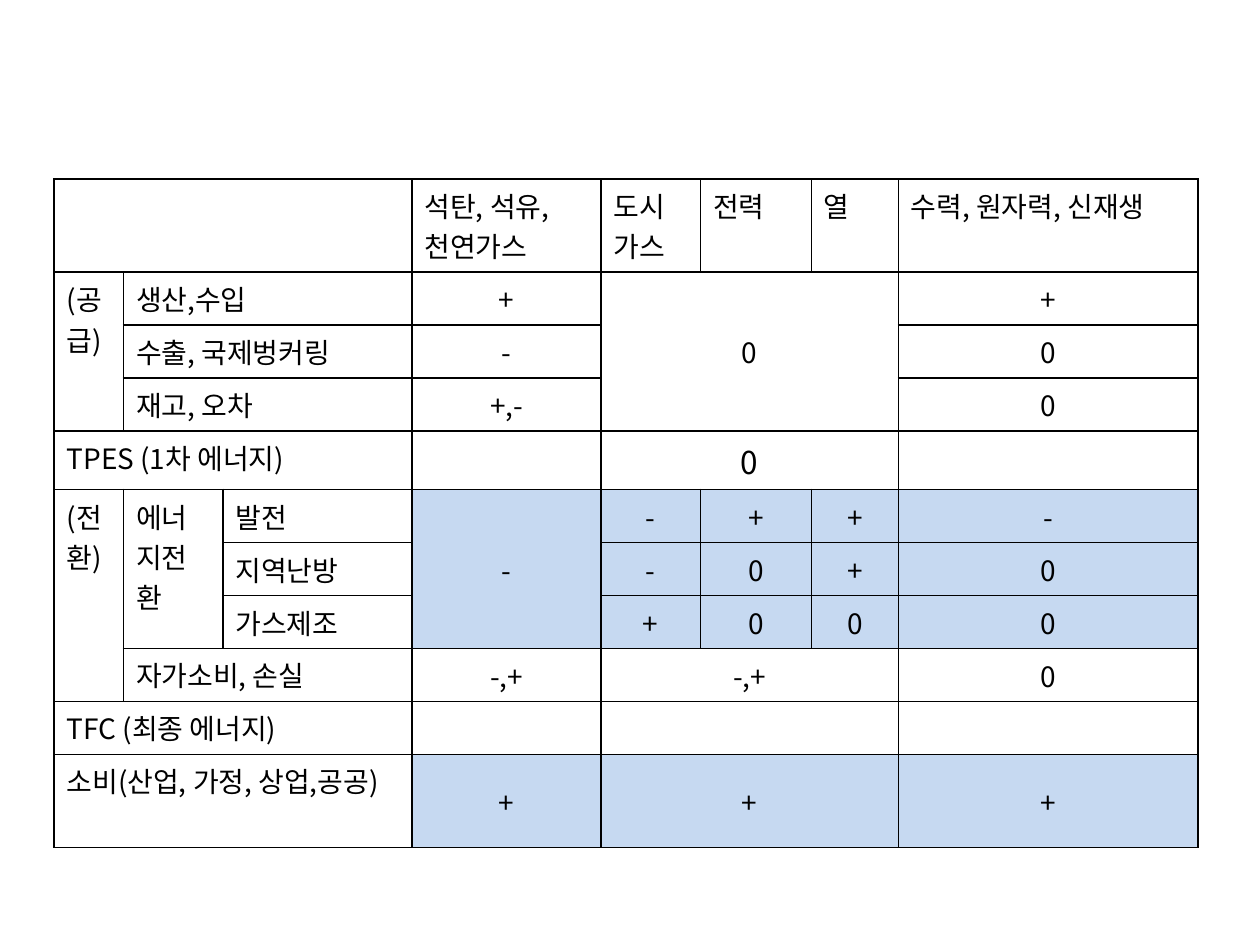
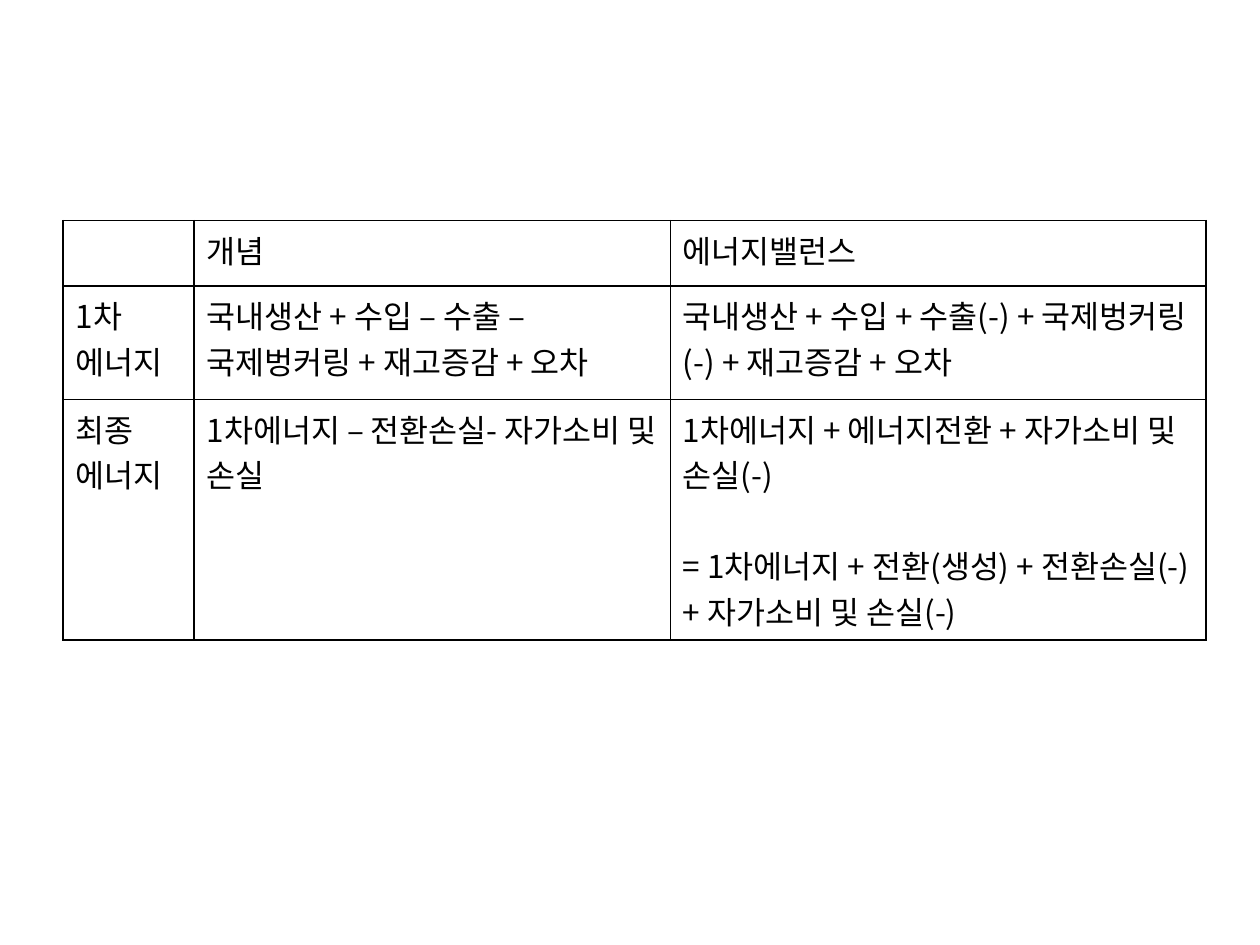
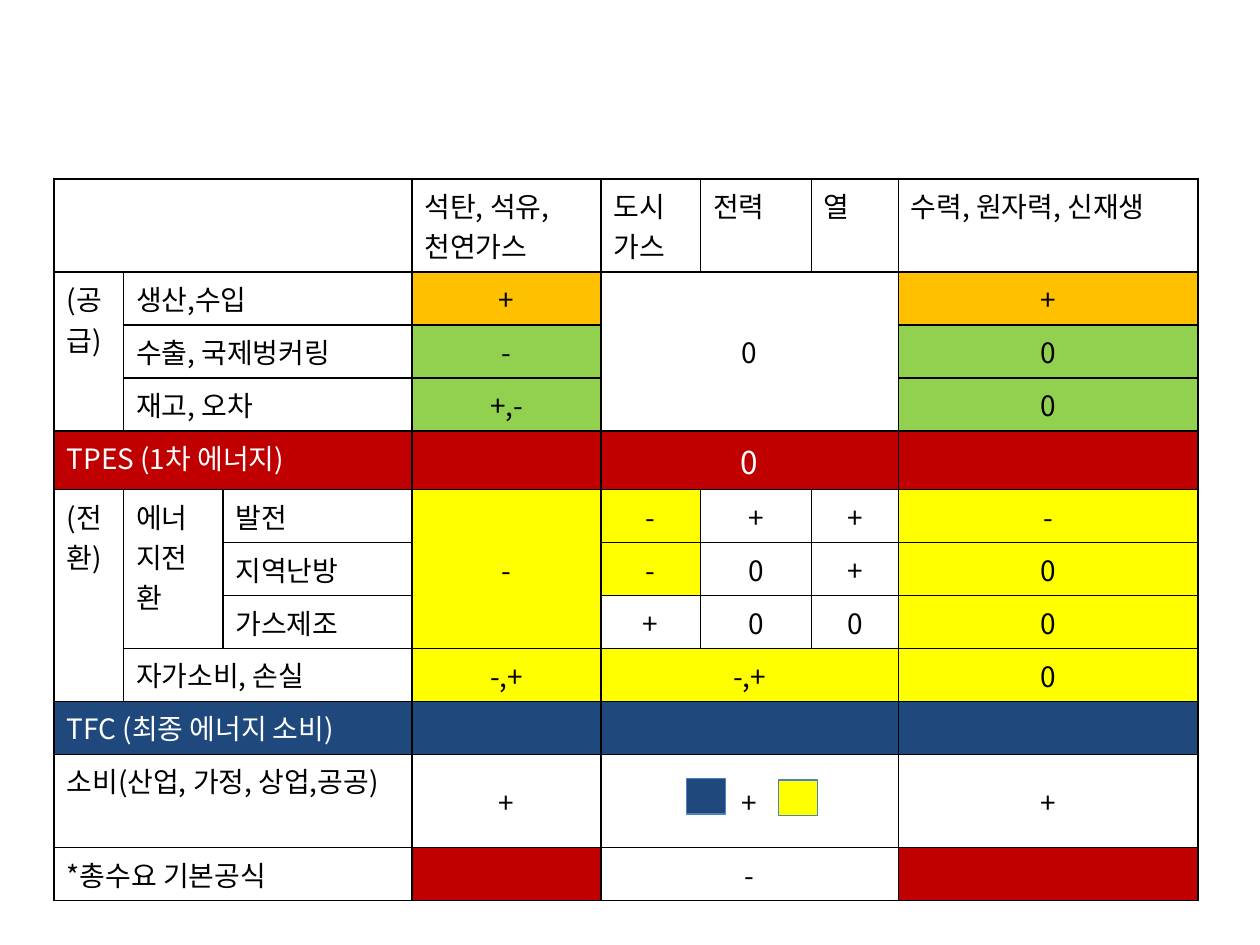
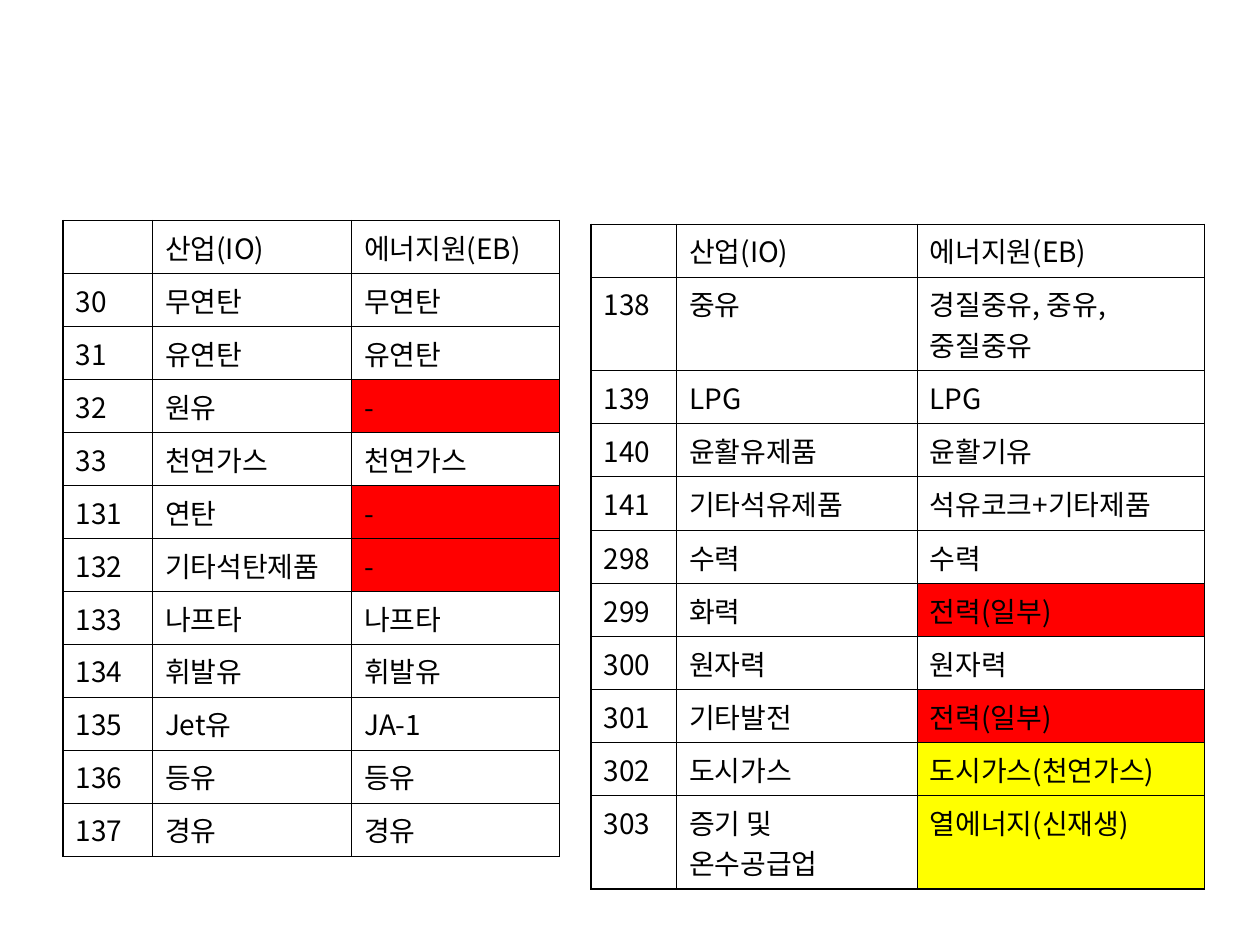
"""Build four slides of energy balance tables."""
import dataclasses

import lxml.etree
import pptx
import pptx.dml.color
import pptx.enum.shapes
import pptx.enum.text
import pptx.oxml.ns
import pptx.util

Inches = pptx.util.Inches
Pt = pptx.util.Pt
RGBColor = pptx.dml.color.RGBColor
qn = pptx.oxml.ns.qn

LEFT, UP = "<", "^"


@dataclasses.dataclass(frozen=True)
class Theme:
    font: str = "Noto Sans CJK KR"
    text: str = "000000"
    light_text: str = "FFFFFF"
    border: str = "000000"
    outline: str = "4F81BD"
    size: int = 16
    large: int = 18
    paragraph_gap: int = 26
    border_width: float = 1
    outline_width: float = 0.75
    fills: dict = dataclasses.field(default_factory=lambda: {
        "b": "C6D9F1", "o": "FFC000", "g": "92D050", "d": "C00000",
        "y": "FFFF00", "n": "1F497D", "r": "FF0000"})
    dark: str = "dn"


def apply(target, values):
    for name, value in values.items():
        setattr(target, name, value)


def merge_end(rows, row, column):
    last_row, last_column = row, column
    while last_column + 1 < len(rows[row]) and rows[row][last_column + 1] == LEFT:
        last_column += 1
    while last_row + 1 < len(rows) and rows[last_row + 1][column] == UP:
        last_row += 1
    return last_row, last_column


class Slides:
    def __init__(self, theme):
        self.theme = theme
        self.deck = pptx.Presentation()
        apply(self.deck, {"slide_width": Inches(10), "slide_height": Inches(7.5)})
        self.page = None

    def add_page(self):
        self.page = self.deck.slides.add_slide(self.deck.slide_layouts[6])

    def table(self, place, widths, heights, rows, fills=None, size=None,
              centred_from=None, large=()):
        left, top = place
        frame = self.page.shapes.add_table(
            len(rows), len(widths), Inches(left), Inches(top),
            Inches(sum(widths)), Inches(sum(heights)))
        grid = frame.table
        apply(grid, {"first_row": False, "horz_banding": False})
        for column, width in zip(grid.columns, widths):
            column.width = Inches(width)
        for line, height in zip(grid.rows, heights):
            line.height = Inches(height)
        for row, texts in enumerate(rows):
            for column, text in enumerate(texts):
                cell = grid.cell(row, column)
                code = fills[row][column] if fills else "."
                self.cell_style(cell, code)
                merged = text in (LEFT, UP)
                centred = centred_from is not None and row > 0 and column >= centred_from
                points = self.theme.large if (row, column) in large else size or self.theme.size
                self.cell_text(cell, "" if merged else text, points, centred,
                               code in self.theme.dark)
                end = merge_end(rows, row, column)
                if not merged and end != (row, column):
                    cell.merge(grid.cell(*end))

    def cell_style(self, cell, code):
        if code in self.theme.fills:
            cell.fill.solid()
            cell.fill.fore_color.rgb = RGBColor.from_string(self.theme.fills[code])
        else:
            cell.fill.background()
        properties = cell._tc.get_or_add_tcPr()
        for index, side in enumerate(("lnL", "lnR", "lnT", "lnB")):
            line = lxml.etree.Element(qn(f"a:{side}"), w=str(Pt(self.theme.border_width)))
            solid = lxml.etree.SubElement(line, qn("a:solidFill"))
            lxml.etree.SubElement(solid, qn("a:srgbClr"), val=self.theme.border)
            properties.insert(index, line)

    def cell_text(self, cell, text, points, centred, light):
        if centred:
            cell.vertical_anchor = pptx.enum.text.MSO_ANCHOR.MIDDLE
        frame = cell.text_frame
        for index, content in enumerate(text.split("\n")):
            para = frame.add_paragraph() if index else frame.paragraphs[0]
            if centred:
                para.alignment = pptx.enum.text.PP_ALIGN.CENTER
            if content.startswith("="):
                para.space_before = Pt(self.theme.paragraph_gap)
            if not content:
                lxml.etree.SubElement(para._p, qn("a:endParaRPr"), sz=str(points * 100))
                continue
            span = para.add_run()
            span.text = content
            apply(span.font, {"name": self.theme.font, "size": Pt(points)})
            colour = self.theme.light_text if light else self.theme.text
            span.font.color.rgb = RGBColor.from_string(colour)
            lxml.etree.SubElement(span.font._rPr, qn("a:ea"), typeface=self.theme.font)

    def swatch(self, left, top, code):
        box = self.page.shapes.add_shape(
            pptx.enum.shapes.MSO_SHAPE.RECTANGLE,
            Inches(left), Inches(top), Inches(0.31), Inches(0.28))
        box.shadow.inherit = False
        box.fill.solid()
        box.fill.fore_color.rgb = RGBColor.from_string(self.theme.fills[code])
        box.line.color.rgb = RGBColor.from_string(self.theme.outline)
        box.line.width = Pt(self.theme.outline_width)

    def balance(self, rows, fills):
        widths = [0.55, 0.79, 1.5, 1.5, 0.79, 0.88, 0.69, 2.38]
        self.table((0.43, 1.42), widths, [0.41] * len(rows), rows, fills,
                   centred_from=3, large={(4, 4)})


def balance_rows(final_label):
    return [
        ["", LEFT, LEFT, "석탄, 석유, 천연가스", "도시가스", "전력", "열", "수력, 원자력, 신재생"],
        ["(공급)", "생산,수입", LEFT, "+", "0", LEFT, LEFT, "+"],
        [UP, "수출, 국제벙커링", LEFT, "-", UP, LEFT, LEFT, "0"],
        [UP, "재고, 오차", LEFT, "+,-", UP, LEFT, LEFT, "0"],
        ["TPES (1차 에너지)", LEFT, LEFT, "", "0", LEFT, LEFT, ""],
        ["(전환)", "에너지전환", "발전", "-", "-", "+", "+", "-"],
        [UP, UP, "지역난방", UP, "-", "0", "+", "0"],
        [UP, UP, "가스제조", UP, "+", "0", "0", "0"],
        [UP, "자가소비, 손실", LEFT, "-,+", "-,+", LEFT, LEFT, "0"],
        [final_label, LEFT, LEFT, "", "", LEFT, LEFT, ""],
        ["소비(산업, 가정, 상업,공공)", LEFT, LEFT, "+", "+", LEFT, LEFT, "+"],
    ]


CONVERSION_FILLS = ["........"] * 5 + ["...bbbbb"] * 3 + ["........"] * 2 + ["...bbbbb"]

FORMULA_FILLS = [
    "........", "...o...o", "...g...g", "...g...g", "dddddddd", "...yy..y",
    "...yy..y", "...y...y", "...yyyyy", "nnnnnnnn", "........", "...d...d"]

DEMAND_ROW = ["*총수요 기본공식", LEFT, LEFT, "", "-", LEFT, LEFT, ""]

DEFINITIONS = [
    ["", "개념", "에너지밸런스"],
    ["1차\n에너지",
     "국내생산 + 수입 – 수출 – 국제벙커링 + 재고증감 + 오차",
     "국내생산 + 수입 + 수출(-) + 국제벙커링 (-) + 재고증감 + 오차"],
    ["최종\n에너지",
     "1차에너지 – 전환손실- 자가소비 및 손실",
     "1차에너지 + 에너지전환 + 자가소비 및 손실(-)\n"
     "= 1차에너지 + 전환(생성) + 전환손실(-) + 자가소비 및 손실(-)"],
]

MAPPING_HEADER = ["", "산업(IO)", "에너지원(EB)"]

FUEL_MAPPING = [
    MAPPING_HEADER,
    ["30", "무연탄", "무연탄"],
    ["31", "유연탄", "유연탄"],
    ["32", "원유", "-"],
    ["33", "천연가스", "천연가스"],
    ["131", "연탄", "-"],
    ["132", "기타석탄제품", "-"],
    ["133", "나프타", "나프타"],
    ["134", "휘발유", "휘발유"],
    ["135", "Jet유", "JA-1"],
    ["136", "등유", "등유"],
    ["137", "경유", "경유"],
]

POWER_MAPPING = [
    MAPPING_HEADER,
    ["138", "중유", "경질중유, 중유, 중질중유"],
    ["139", "LPG", "LPG"],
    ["140", "윤활유제품", "윤활기유"],
    ["141", "기타석유제품", "석유코크+기타제품"],
    ["298", "수력", "수력"],
    ["299", "화력", "전력(일부)"],
    ["300", "원자력", "원자력"],
    ["301", "기타발전", "전력(일부)"],
    ["302", "도시가스", "도시가스(천연가스)"],
    ["303", "증기 및 온수공급업", "열에너지(신재생)"],
]


def last_column_fills(codes):
    return [".." + code for code in codes]


def main():
    theme = Theme()
    slides = Slides(theme)

    slides.add_page()
    slides.balance(balance_rows("TFC (최종 에너지)"), CONVERSION_FILLS)

    slides.add_page()
    slides.table((0.5, 1.75), [1.04, 3.78, 4.25], [0.52, 0.9, 1.68],
                 DEFINITIONS, size=theme.large)

    slides.add_page()
    slides.balance(balance_rows("TFC (최종 에너지 소비)") + [DEMAND_ROW], FORMULA_FILLS)
    slides.swatch(5.45, 6.18, "n")
    slides.swatch(6.18, 6.19, "y")

    slides.add_page()
    slides.table((0.5, 1.75), [0.71, 1.58, 1.65], [0.41] * 12,
                 FUEL_MAPPING, last_column_fills("...r.rr....."))
    slides.table((4.69, 1.78), [0.68, 1.91, 2.28],
                 [0.41, 0.64, 0.41, 0.41, 0.43] + [0.41] * 6,
                 POWER_MAPPING, last_column_fills("......r.ryy"))

    slides.deck.save("out.pptx")


if __name__ == "__main__":
    main()
